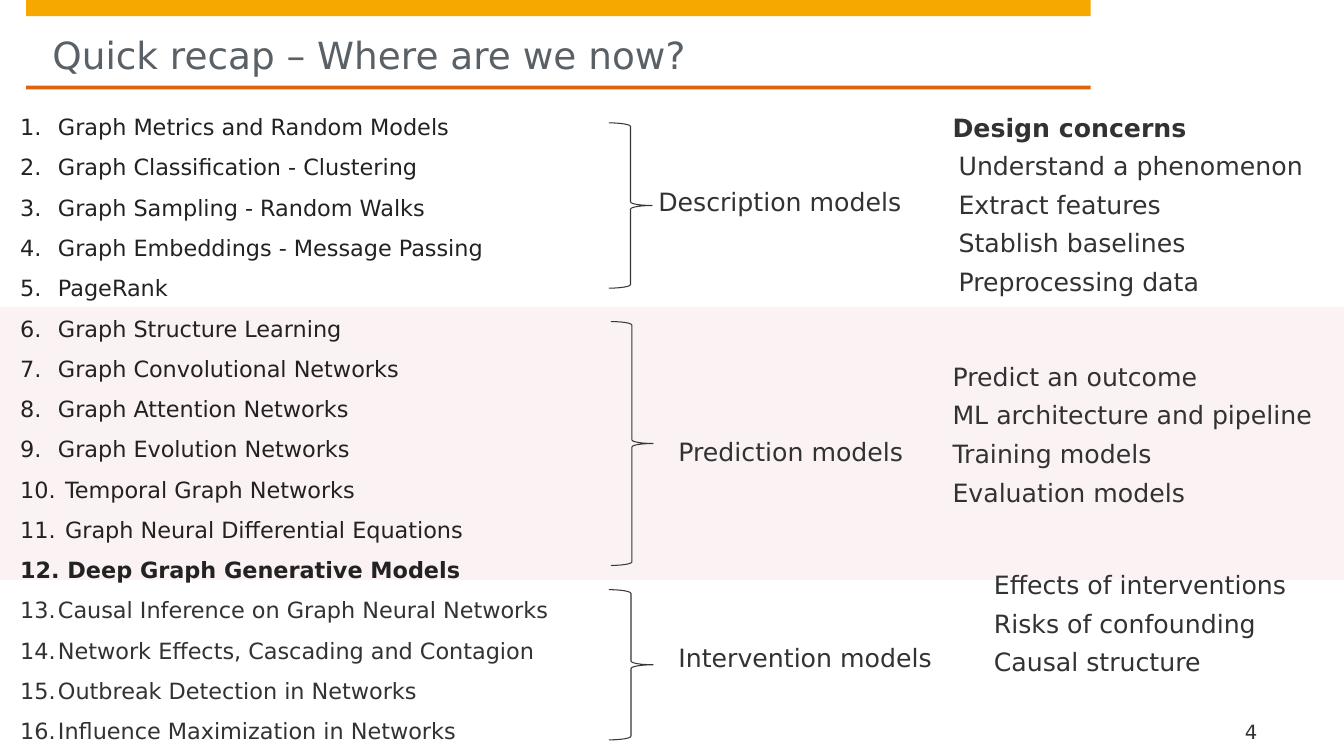
"""Builds the recap slide that groups course topics by kind of graph model."""
from lxml.etree import SubElement
from pptx import Presentation
from pptx.dml.color import RGBColor
from pptx.enum.shapes import MSO_SHAPE
from pptx.enum.text import MSO_ANCHOR, MSO_AUTO_SIZE, PP_ALIGN
from pptx.oxml.ns import qn
from pptx.util import Pt

AMBER = RGBColor(0xF6, 0xA8, 0x00)
ORANGE = RGBColor(0xDD, 0x64, 0x0C)
CRIMSON = RGBColor(0xB1, 0x06, 0x3A)
SLATE = RGBColor(0x5A, 0x61, 0x66)
INK = RGBColor(0x22, 0x22, 0x22)
CHARCOAL = RGBColor(0x32, 0x32, 0x32)
BRACE_GREY = RGBColor(0x37, 0x37, 0x37)

TOPICS = [
    "Graph Metrics and Random Models",
    "Graph Classification - Clustering",
    "Graph Sampling - Random Walks",
    "Graph Embeddings - Message Passing",
    "PageRank",
    "Graph Structure Learning",
    "Graph Convolutional Networks",
    "Graph Attention Networks",
    "Graph Evolution Networks",
    " Temporal Graph Networks",
    " Graph Neural Differential Equations",
    " Deep Graph Generative Models",
    "Causal Inference on Graph Neural Networks",
    "Network Effects, Cascading and Contagion",
    "Outbreak Detection in Networks",
    "Influence Maximization in Networks",
]
CURRENT_TOPIC = 11

MODEL_GROUPS = [
    ((434.9, 87.8, 31, 118.1), "Description models", (470.2, 133.2),
     ["Understand a phenomenon", "Extract features",
      "Stablish baselines", "Preprocessing data"], (684.7, 107.3)),
    ((436.3, 229.7, 30.2, 174.2), "Prediction models", (484.6, 311.8),
     ["Predict an outcome", "ML architecture and pipeline",
      "Training models", "Evaluation models"], (680.4, 257.8)),
    ((434.9, 421.2, 31.7, 107.3), "Intervention models", (484.6, 458.6),
     ["Effects of interventions", "Risks of confounding",
      "Causal structure"], (709.9, 406.8)),
]


def apply(target, values):
    """Set each named attribute of the target."""
    for name, value in values.items():
        setattr(target, name, value)


class RecapSlide:
    """Holds the slide style and draws each kind of element."""

    font = "DejaVu Sans"
    frame = {"word_wrap": True, "auto_size": MSO_AUTO_SIZE.NONE,
             "vertical_anchor": MSO_ANCHOR.TOP, "margin_left": 0,
             "margin_top": 0, "margin_right": 0, "margin_bottom": 0}
    spaced = {"space_before": Pt(3), "space_after": Pt(3)}
    numbered = {"line_spacing": 1.5, "space_before": 0, "space_after": 0}

    def __init__(self, deck):
        self.slide = deck.slides.add_slide(deck.slide_layouts[1])

    def place(self, shape, box):
        """Move and resize a shape to a box in points."""
        apply(shape, dict(zip(("left", "top", "width", "height"), map(Pt, box))))

    def fill_text(self, shape, lines, size, color, spacing, **frame):
        """Fill a shape with one paragraph per line and return them."""
        text = shape.text_frame
        apply(text, self.frame | frame)
        text.text = "\n".join(lines)
        for paragraph in text.paragraphs:
            apply(paragraph, {"alignment": PP_ALIGN.LEFT} | spacing)
            font = paragraph.runs[0].font
            apply(font, {"name": self.font, "size": Pt(size), "bold": False})
            font.color.rgb = color
        return text.paragraphs

    def title(self, words, box):
        """Fill the title placeholder."""
        heading = self.slide.shapes.title
        self.place(heading, box)
        self.fill_text(heading, [words], 26.7, SLATE, {}, margin_top=Pt(11.5))

    def topics(self, names, current, box):
        """Fill the numbered list, with the current topic in bold."""
        body = self.slide.placeholders[1]
        self.place(body, box)
        items = self.fill_text(body, names, 16, INK, self.numbered,
                               margin_left=Pt(7.2), margin_top=Pt(3.6))
        for index, item in enumerate(items):
            properties = item._p.get_or_add_pPr()
            properties.set("marL", str(Pt(27)))
            properties.set("indent", str(-Pt(27)))
            SubElement(properties, qn("a:buFontTx"))
            SubElement(properties, qn("a:buAutoNum"), type="arabicPeriod")
            font = item.runs[0].font
            font.bold = index == current
            if index > current:
                font.color.rgb = CHARCOAL

    def note(self, lines, corner, width=267, size=18, bold=False):
        """Add a text box at a corner and size it to its lines."""
        box = self.slide.shapes.add_textbox(0, 0, 0, 0)
        self.place(box, (*corner, width, 27 * len(lines)))
        for paragraph in self.fill_text(box, lines, size, CHARCOAL, self.spaced):
            paragraph.runs[0].font.bold = bold

    def band(self, box, color, opacity=100):
        """Add a filled rectangle behind everything else."""
        strip = self.slide.shapes.add_shape(MSO_SHAPE.RECTANGLE, 0, 0, 0, 0)
        self.place(strip, box)
        strip.shadow.inherit = False
        strip.line.fill.background()
        strip.fill.solid()
        strip.fill.fore_color.rgb = color
        if opacity < 100:
            tint = strip.element.spPr.find(".//" + qn("a:srgbClr"))
            SubElement(tint, qn("a:alpha"), val=str(opacity * 1000))
        strip.element.getparent().insert(2, strip.element)

    def brace(self, box):
        """Add a right brace that gathers a group of topics."""
        bracket = self.slide.shapes.add_shape(MSO_SHAPE.RIGHT_BRACE, 0, 0, 0, 0)
        self.place(bracket, box)
        bracket.shadow.inherit = False
        bracket.fill.background()
        bracket.line.color.rgb = BRACE_GREY
        bracket.line.width = Pt(0.75)


def main():
    """Build and save the deck."""
    deck = Presentation()
    apply(deck, {"slide_width": Pt(960), "slide_height": Pt(540)})
    recap = RecapSlide(deck)
    recap.band((18.7, 0, 760.3, 11.5), AMBER)
    recap.band((18.7, 61.2, 760.3, 2.6), ORANGE)
    recap.band((0, 219.2, 960, 195.1), CRIMSON, opacity=5)
    recap.title("Quick recap – Where are we now?", (37.4, 11.5, 722.2, 43.9))
    recap.topics(TOPICS, CURRENT_TOPIC, (7.2, 67.7, 408.2, 468.7))
    recap.note(["Design concerns"], (680.4, 79.9), bold=True)
    for brace_box, model, model_corner, concerns, concerns_corner in MODEL_GROUPS:
        recap.brace(brace_box)
        recap.note([model], model_corner, width=190)
        recap.note(concerns, concerns_corner)
    recap.note(["4"], (889.2, 514), width=50, size=14)
    deck.save("out.pptx")


if __name__ == "__main__":
    main()
